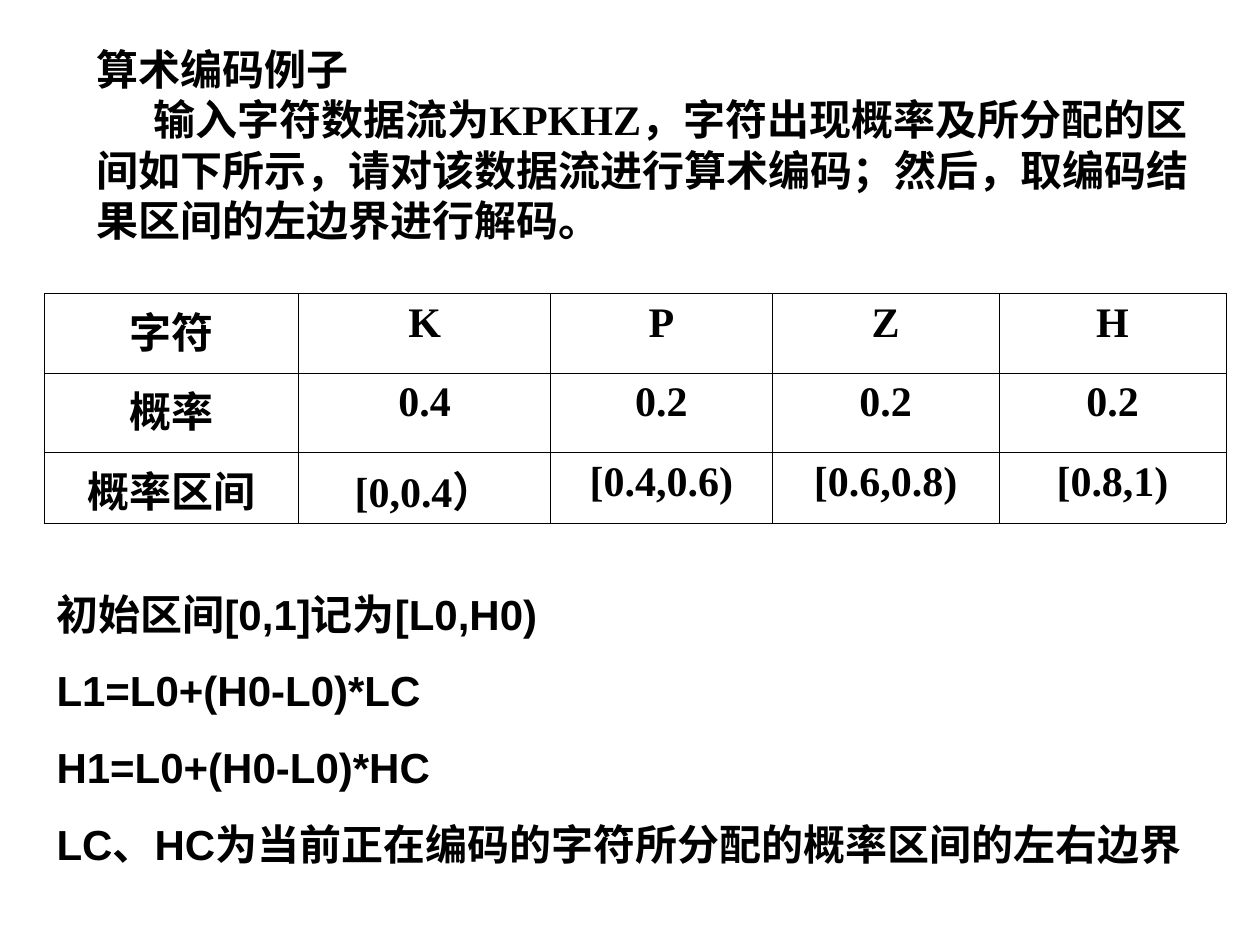
from dataclasses import dataclass

from lxml.etree import SubElement
from pptx import Presentation
from pptx.dml.color import RGBColor
from pptx.enum.text import MSO_ANCHOR, PP_ALIGN
from pptx.oxml.ns import qn
from pptx.slide import Slide
from pptx.util import Inches, Pt

COLORS = {"text": "000000", "border": "000000"}

TITLE = "算术编码例子"
TASK = ("输入字符数据流为KPKHZ，字符出现概率及所分配的区间如下所示，"
        "请对该数据流进行算术编码；然后，取编码结果区间的左边界进行解码。")
PROBABILITIES = [
    ["字符", "K", "P", "Z", "H"],
    ["概率", "0.4", "0.2", "0.2", "0.2"],
    ["概率区间", "[0,0.4）", "[0.4,0.6)", "[0.6,0.8)", "[0.8,1)"],
]
COLUMN_WIDTHS = [2.02, 2, 1.76, 1.8, 1.8]
ROW_HEIGHTS = [0.63, 0.63, 0.56]
FORMULAS = [
    "初始区间[0,1]记为[L0,H0)",
    "L1=L0+(H0-L0)*LC",
    "H1=L0+(H0-L0)*HC",
    "LC、HC为当前正在编码的字符所分配的概率区间的左右边界",
]


def write_text(paragraph, text, font="Times New Roman", align=PP_ALIGN.LEFT,
               space_before=0, first_indent=0):
    run = paragraph.add_run()
    run.text = text
    run.font.name = font
    run.font.size = Pt(24)
    run.font.bold = True
    run.font.color.rgb = RGBColor.from_string(COLORS["text"])
    paragraph.alignment = align
    paragraph.space_before = Pt(space_before)
    if first_indent:
        paragraph._p.get_or_add_pPr().set("indent", str(Inches(first_indent)))


def add_borders(cell, width=0.45):
    """Draw a thin line on all four sides; lines must precede the fill."""
    properties = cell._tc.get_or_add_tcPr()
    for side in ("a:lnL", "a:lnR", "a:lnT", "a:lnB"):
        line = SubElement(properties, qn(side), w=str(Pt(width)))
        fill = SubElement(line, qn("a:solidFill"))
        SubElement(fill, qn("a:srgbClr"), val=COLORS["border"])


@dataclass
class SlideBuilder:
    slide: Slide
    serif: str = "Times New Roman"
    sans: str = "Arial"

    def add_text(self, left, top, width, height, paragraphs,
                 anchor=MSO_ANCHOR.TOP):
        """Add a box from (text, format) pairs, one pair a paragraph."""
        shape = self.slide.shapes.add_textbox(
            Inches(left), Inches(top), Inches(width), Inches(height))
        frame = shape.text_frame
        frame.word_wrap = True
        frame.vertical_anchor = anchor
        for index, (text, style) in enumerate(paragraphs):
            paragraph = frame.add_paragraph() if index else frame.paragraphs[0]
            write_text(paragraph, text, **style)

    def add_table(self, left, top, rows, widths, heights):
        shape = self.slide.shapes.add_table(
            len(rows), len(widths), Inches(left), Inches(top),
            Inches(sum(widths)), Inches(sum(heights)))
        table = shape.table
        table.first_row = False
        table.horz_banding = False
        for column, width in zip(table.columns, widths):
            column.width = Inches(width)
        for row, height, texts in zip(table.rows, heights, rows):
            row.height = Inches(height)
            for cell, text in zip(row.cells, texts):
                add_borders(cell)
                cell.fill.background()
                write_text(cell.text_frame.paragraphs[0], text,
                           font=self.serif, align=PP_ALIGN.CENTER)


def main():
    presentation = Presentation()
    presentation.slide_width = Inches(10)
    presentation.slide_height = Inches(7.5)
    builder = SlideBuilder(
        presentation.slides.add_slide(presentation.slide_layouts[6]))

    builder.add_text(0.67, 0.52, 9, 1.25, [
        (TITLE, {"font": builder.serif}),
        (TASK, {"font": builder.serif, "first_indent": 0.45}),
    ], anchor=MSO_ANCHOR.MIDDLE)
    builder.add_table(0.35, 2.33, PROBABILITIES, COLUMN_WIDTHS, ROW_HEIGHTS)
    builder.add_text(0.35, 4.62, 9.29, 2.73, [
        (text, {"font": builder.sans, "space_before": 15 if index else 0})
        for index, text in enumerate(FORMULAS)
    ])
    presentation.save("out.pptx")


if __name__ == "__main__":
    main()
